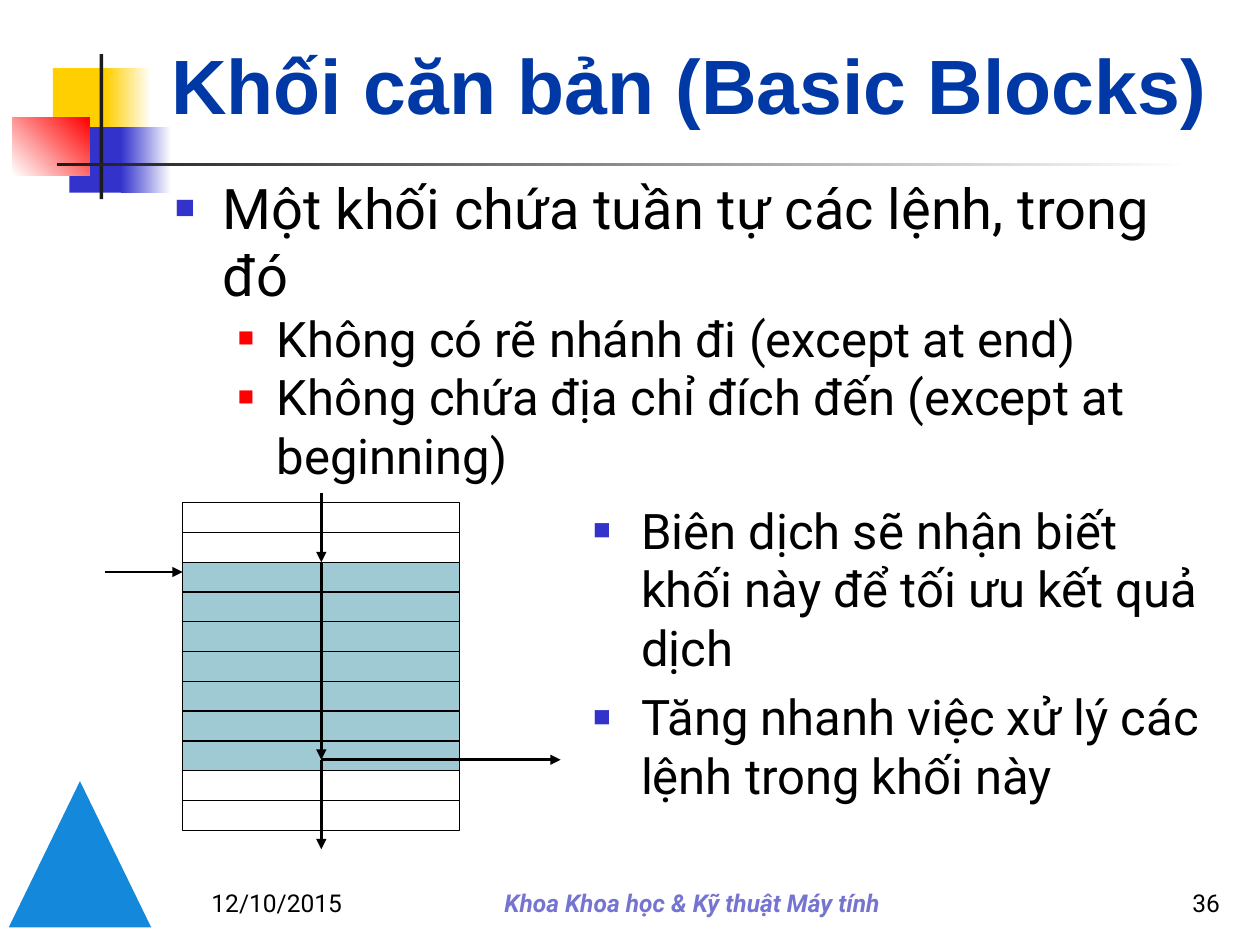
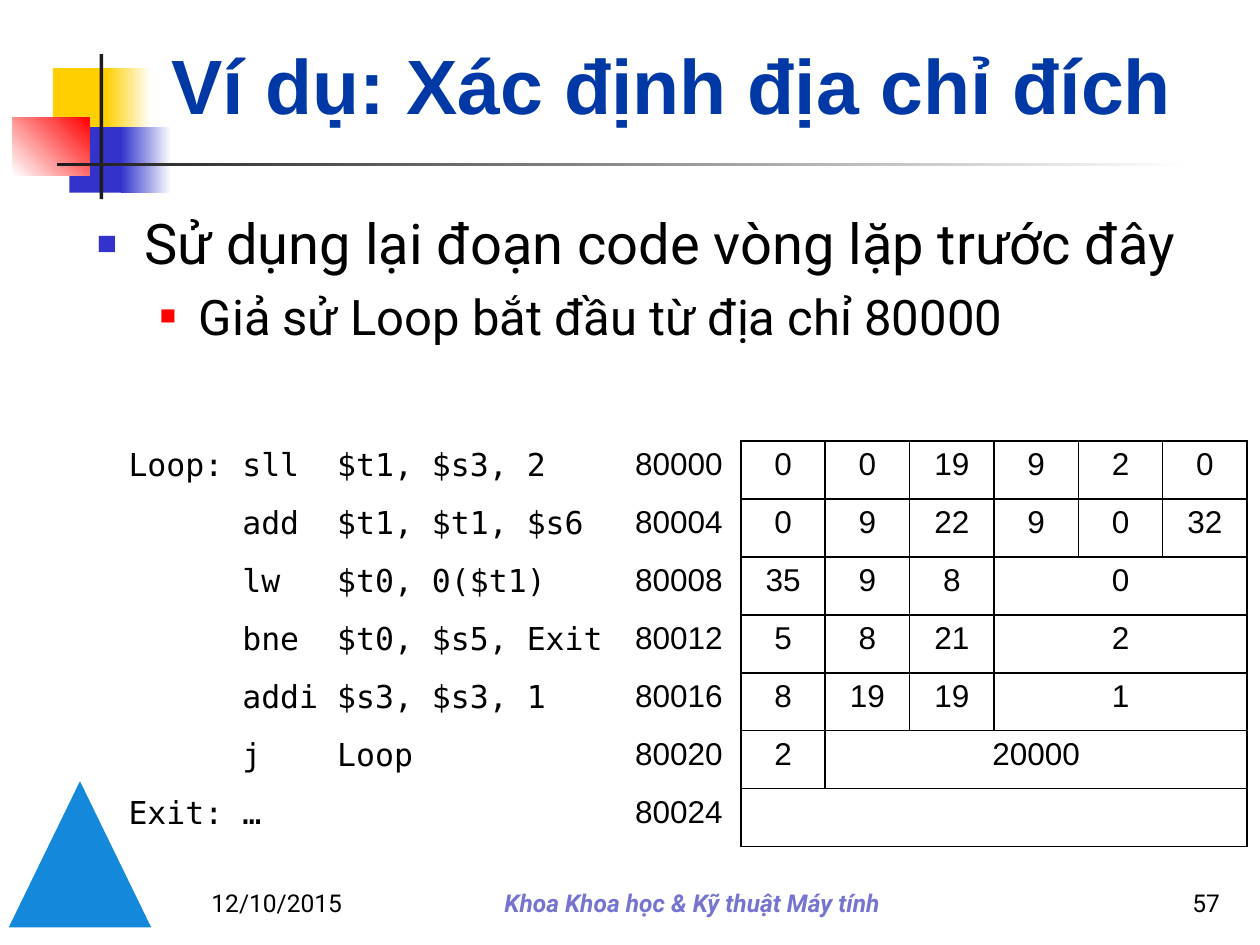
from lxml import etree
from pptx import Presentation
from pptx.dml.color import RGBColor
from pptx.enum.shapes import MSO_CONNECTOR, MSO_SHAPE
from pptx.enum.text import MSO_ANCHOR, MSO_AUTO_SIZE, PP_ALIGN
from pptx.oxml import parse_xml
from pptx.oxml.ns import nsdecls, qn
from pptx.util import Inches, Pt

color = RGBColor.from_string

BLACK, WHITE, DARK = "000000", "FFFFFF", "1C1C1C"
YELLOW, BLUE, RED = "FFCF01", "3333CC", "FF0000"
TITLE_BLUE, FOOTER_BLUE, EMBLEM_BLUE = "0039A6", "7575D1", "1488DB"
BLOCK_FILL = "9FCAD3"
TITLE_FONT, BODY_FONT, CODE_FONT = "Arial", "Roboto", "DejaVu Sans Mono"

# Box, start colour, end colour (None for a plain fill), angle
DECORATION = [
    ((0.42, 0.54, 0.48, 0.52), YELLOW, None, 0),
    ((0.84, 0.54, 0.36, 0.52), YELLOW, WHITE, 0),
    ((0.55, 1.01, 0.46, 0.52), BLUE, None, 0),
    ((0.96, 1.01, 0.40, 0.52), BLUE, WHITE, 0),
    ((0.10, 0.93, 0.61, 0.46), WHITE, RED, 45),
    ((0.79, 0.43, 0.03, 1.15), DARK, None, 0),
    ((0.45, 1.29, 9.00, 0.03), DARK, WHITE, 0),
]

# Bullet colour, size in percent, left margin and hanging indent per level
BULLET_LEVELS = [(BLUE, 60, 0.38, 0.38), (RED, 55, 0.81, 0.31)]


def add_text_frame(slide, box, anchor=MSO_ANCHOR.TOP):
    frame = slide.shapes.add_textbox(*map(Inches, box)).text_frame
    frame.word_wrap = True
    frame.vertical_anchor = anchor
    return frame


def add_bullets(slide, box, items, space_before):
    """Write (level, size, text) items as a bulleted list."""
    frame = add_text_frame(slide, box)
    for index, (level, size, text) in enumerate(items):
        paragraph = frame.add_paragraph() if index else frame.paragraphs[0]
        paragraph.text = text
        paragraph.level = level
        bullet_color, percent, margin, hanging = BULLET_LEVELS[level]
        properties = paragraph._p.get_or_add_pPr()
        properties.set("marL", str(Inches(margin)))
        properties.set("indent", str(-Inches(hanging)))
        bullet = etree.SubElement(properties, qn("a:buClr"))
        etree.SubElement(bullet, qn("a:srgbClr"), val=bullet_color)
        etree.SubElement(properties, qn("a:buSzPct"), val=str(percent * 1000))
        etree.SubElement(properties, qn("a:buFont"), typeface=TITLE_FONT)
        etree.SubElement(properties, qn("a:buChar"), char="■")
        if index:
            paragraph.space_before = Pt(space_before)
        paragraph.font.name = BODY_FONT
        paragraph.font.size = Pt(size)
        paragraph.font.color.rgb = color(BLACK)


presentation = Presentation()
presentation.slide_width = Inches(10)
presentation.slide_height = Inches(7.5)

# Shared parts: decoration, emblem, title and footers
slides = []
for title_text, number in [("Khối căn bản (Basic Blocks)", "36"),
                           ("Ví dụ: Xác định địa chỉ đích", "57")]:
    slide = presentation.slides.add_slide(presentation.slide_layouts[5])
    slides.append(slide)

    for box, start, end, angle in DECORATION:
        shape = slide.shapes.add_shape(MSO_SHAPE.RECTANGLE, *map(Inches, box))
        shape.shadow.inherit = False
        shape.line.fill.background()
        if end:
            shape.fill.gradient()
            shape.fill.gradient_angle = angle
            for stop, stop_color in zip(shape.fill.gradient_stops, (start, end)):
                stop.color.rgb = color(stop_color)
        else:
            shape.fill.solid()
            shape.fill.fore_color.rgb = color(start)

    emblem = slide.shapes.add_shape(
        MSO_SHAPE.ISOSCELES_TRIANGLE, Inches(0.07), Inches(6.2), Inches(1.13), Inches(1.16))
    emblem.shadow.inherit = False
    emblem.fill.solid()
    emblem.fill.fore_color.rgb = color(EMBLEM_BLUE)
    emblem.line.fill.background()

    title = slide.shapes.title
    title.left, title.top, title.width, title.height = map(Inches, (1.26, 0.23, 8.52, 0.85))
    title.text_frame.text = title_text
    title.text_frame.auto_size = MSO_AUTO_SIZE.NONE
    title.text_frame.vertical_anchor = MSO_ANCHOR.BOTTOM
    paragraph = title.text_frame.paragraphs[0]
    paragraph.alignment = PP_ALIGN.LEFT
    paragraph.font.name = TITLE_FONT
    paragraph.font.size = Pt(44)
    paragraph.font.bold = True
    paragraph.font.color.rgb = color(TITLE_BLUE)

    for text, box, alignment, text_color, emphasis in [
        ("12/10/2015", (1.58, 6.83, 1.42, 0.5), PP_ALIGN.LEFT, BLACK, False),
        ("Khoa Khoa học & Kỹ thuật Máy tính", (3.08, 7, 4.83, 0.33),
         PP_ALIGN.CENTER, FOOTER_BLUE, True),
        (number, (8.33, 6.83, 1.45, 0.5), PP_ALIGN.RIGHT, BLACK, False),
    ]:
        paragraph = add_text_frame(slide, box, MSO_ANCHOR.BOTTOM).paragraphs[0]
        paragraph.text = text
        paragraph.alignment = alignment
        paragraph.font.name = BODY_FONT
        paragraph.font.size = Pt(14)
        paragraph.font.bold = paragraph.font.italic = emphasis
        paragraph.font.color.rgb = color(text_color)

blocks_slide, address_slide = slides

# Slide 1: text
add_bullets(blocks_slide, (1.29, 1.33, 8.5, 2.6), [
    (0, 32, "Một khối chứa tuần tự các lệnh, trong đó"),
    (1, 28, "Không có rẽ nhánh đi (except at end)"),
    (1, 28, "Không chứa địa chỉ đích đến (except at beginning)"),
], 0)
add_bullets(blocks_slide, (4.61, 3.92, 5.11, 2.84), [
    (0, 28, "Biên dịch sẽ nhận biết khối này để tối ưu kết quả dịch"),
    (0, 28, "Tăng nhanh việc xử lý các lệnh trong khối này"),
], 5.6)

# Slide 1: stack of instructions, the basic block being rows 2 to 8
STACK_TOP, STACK_HEIGHT, ROW_COUNT = 3.99, 2.6, 11
row_height = STACK_HEIGHT / ROW_COUNT
instructions = []
for index in range(ROW_COUNT):
    instruction = blocks_slide.shapes.add_shape(
        MSO_SHAPE.RECTANGLE, Inches(1.45), Inches(STACK_TOP + index * row_height),
        Inches(2.2), Inches(row_height))
    instruction.shadow.inherit = False
    if 2 <= index <= 8:
        instruction.fill.solid()
        instruction.fill.fore_color.rgb = color(BLOCK_FILL)
    else:
        instruction.fill.background()
    instruction.line.color.rgb = color(BLACK)
    instruction.line.width = Pt(0.75)
    instructions.append(instruction)

# Slide 1: control flow arrows
block_start = instructions[2]
arrows = []
for x1, y1, x2, y2 in [
    (2.55, 3.91, 2.55, 4.46),
    (2.55, 4.46, 2.55, 6.03),
    (2.55, 6.03, 2.55, 6.74),
    (2.55, 6.03, 4.45, 6.03),
    (0.83, 4.54, 1.45, 4.54),
]:
    arrow = blocks_slide.shapes.add_connector(
        MSO_CONNECTOR.STRAIGHT, *map(Inches, (x1, y1, x2, y2)))
    arrow.line.color.rgb = color(BLACK)
    arrow.line.width = Pt(1.5)
    etree.SubElement(arrow.line._get_or_add_ln(), qn("a:tailEnd"), type="triangle")
    etree.SubElement(arrow._element.spPr, qn("a:effectLst"))
    arrows.append(arrow)
arrows[0].end_connect(block_start, 0)
arrows[1].begin_connect(block_start, 0)

# Slide 2: text
add_bullets(address_slide, (0.67, 1.61, 9.33, 1.5), [
    (0, 32, "Sử dụng lại đoạn code vòng lặp trước đây"),
    (1, 28, "Giả sử Loop bắt đầu từ địa chỉ 80000"),
], 5.6)

# Slide 2: code, addresses and fields; the last field fills the rest of its row
PROGRAM = [
    ("Loop: sll  $t1, $s3, 2", [0, 0, 19, 9, 2, 0]),
    ("      add  $t1, $t1, $s6", [0, 9, 22, 9, 0, 32]),
    ("      lw   $t0, 0($t1)", [35, 9, 8, 0]),
    ("      bne  $t0, $s5, Exit", [5, 8, 21, 2]),
    ("      addi $s3, $s3, 1", [8, 19, 19, 1]),
    ("      j    Loop", [2, 20000]),
    ("Exit: …", [""]),
]
COLUMN_WIDTHS = [4.02, 0.94] + [0.67] * 6
LAST_COLUMN = len(COLUMN_WIDTHS) - 1
table = address_slide.shapes.add_table(
    len(PROGRAM), len(COLUMN_WIDTHS), Inches(0.92), Inches(3.5),
    Inches(sum(COLUMN_WIDTHS)), Inches(0.46 * len(PROGRAM))).table
table.first_row = table.horz_banding = False
for column, width in zip(table.columns, COLUMN_WIDTHS):
    column.width = Inches(width)

for row, (code, fields) in enumerate(PROGRAM):
    table.rows[row].height = Inches(0.46)
    for column in range(len(COLUMN_WIDTHS)):
        cell = table.cell(row, column)
        for side in "LRTB":
            is_black = column > 1 or (column == 1 and side == "R")
            cell._tc.get_or_add_tcPr().append(parse_xml(
                f'<a:ln{side} {nsdecls("a")} w="12700"><a:solidFill>'
                f'<a:srgbClr val="{BLACK if is_black else WHITE}"/>'
                f'</a:solidFill></a:ln{side}>'))
        cell.fill.background()
    last_field = len(fields) + 1
    if last_field < LAST_COLUMN:
        table.cell(row, last_field).merge(table.cell(row, LAST_COLUMN))
    for column, value in enumerate([code, 80000 + 4 * row, *fields]):
        paragraph = table.cell(row, column).text_frame.paragraphs[0]
        paragraph.text = str(value)
        paragraph.alignment = PP_ALIGN.CENTER if column > 1 else PP_ALIGN.LEFT
        paragraph.font.name = TITLE_FONT if column else CODE_FONT
        paragraph.font.size = Pt(18)
        paragraph.font.color.rgb = color(BLACK)

presentation.save("out.pptx")
